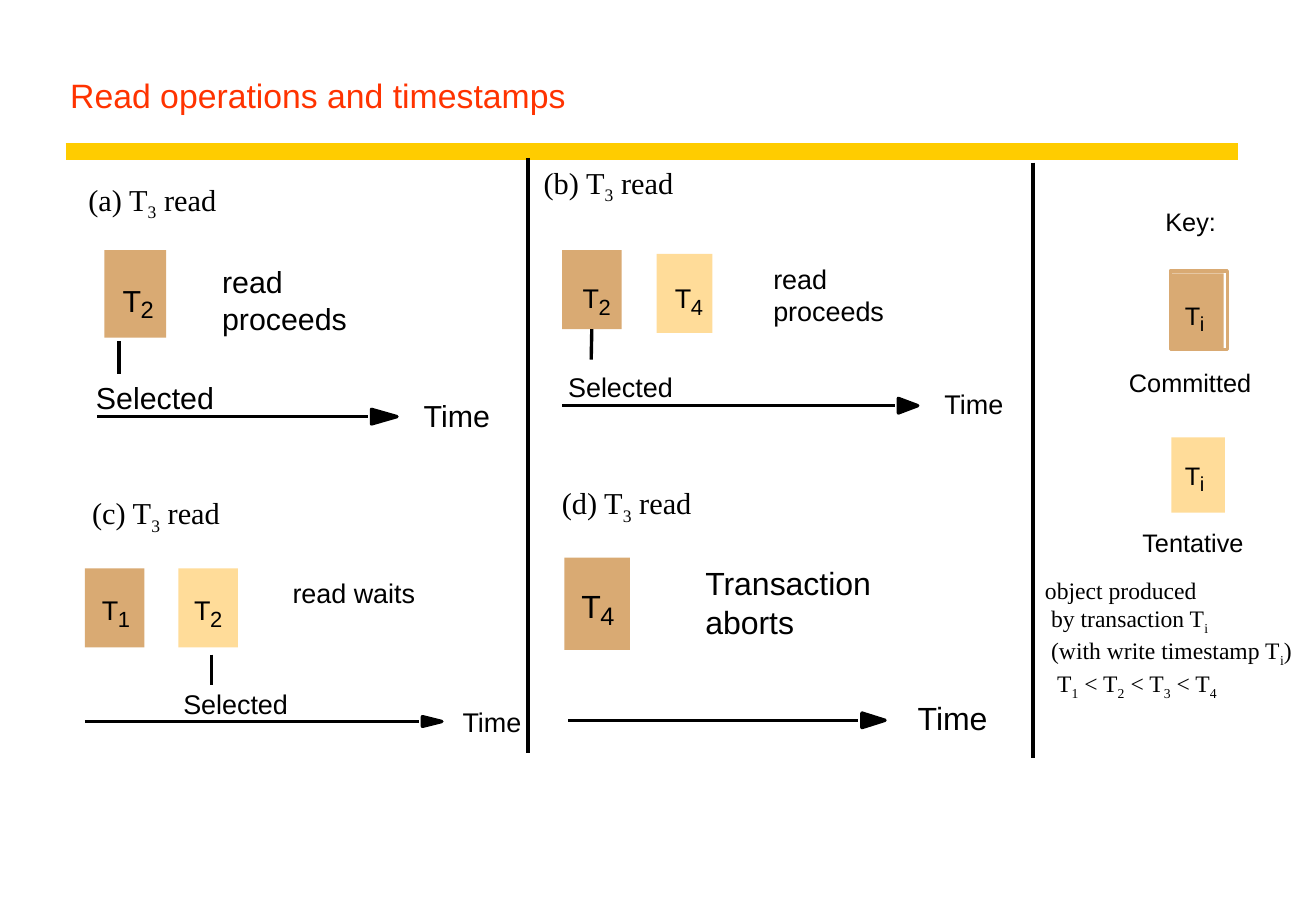
from dataclasses import dataclass

from lxml.etree import SubElement
from pptx import Presentation
from pptx.dml.color import RGBColor
from pptx.enum.shapes import MSO_CONNECTOR, MSO_SHAPE
from pptx.enum.text import MSO_ANCHOR
from pptx.oxml.ns import qn
from pptx.util import Inches, Pt


@dataclass(frozen=True)
class Theme:
    ink: RGBColor = RGBColor.from_string("000000")
    title: RGBColor = RGBColor.from_string("FF3300")
    rule: RGBColor = RGBColor.from_string("FFCC00")
    committed: RGBColor = RGBColor.from_string("D9AA73")
    tentative: RGBColor = RGBColor.from_string("FFDC99")
    sans: str = "Arial"
    serif: str = "Times New Roman"
    title_size: int = 20
    heading_size: int = 18
    note_size: int = 14
    key_size: int = 15
    panel_a_size: int = 18
    panel_bc_size: int = 16
    panel_d_size: int = 19
    stroke: int = 2
    rule_stroke: int = 10


THEME = Theme()


def add_subscripted(paragraph, text):
    """Write text; the character after each underscore is a subscript."""
    first, *rest = text.split("_")
    paragraph.add_run().text = first
    for part in rest:
        subscript = paragraph.add_run()
        subscript.text = part[0]
        subscript._r.get_or_add_rPr().set("baseline", "-25000")
        if part[1:]:
            paragraph.add_run().text = part[1:]


def add_text(slide, left, top, width, height, lines, size, font=THEME.sans,
             color=THEME.ink, inset=(0, 0)):
    frame = slide.shapes.add_textbox(
        Inches(left), Inches(top), Inches(width), Inches(height)).text_frame
    frame.word_wrap = True
    frame.margin_left = frame.margin_right = Inches(inset[0])
    frame.margin_top = frame.margin_bottom = Inches(inset[1])
    for index, line in enumerate(lines):
        paragraph = frame.add_paragraph() if index else frame.paragraphs[0]
        add_subscripted(paragraph, line)
        paragraph.font.size = Pt(size)
        paragraph.font.name = font
        paragraph.font.color.rgb = color
    return frame


def add_label(slide, left, top, width, size, *lines):
    frame = add_text(slide, left, top, width, len(lines) * size / 60, lines, size)
    if len(lines) > 1:
        for paragraph in frame.paragraphs:
            paragraph.line_spacing = Pt(size * 1.2)


def add_heading(slide, left, top, text):
    add_text(slide, left, top, 1.32, 0.44, [text], THEME.heading_size,
             THEME.serif, inset=(0.1, 0.05))


def add_line(slide, start, end, color=THEME.ink, stroke=THEME.stroke):
    line = slide.shapes.add_connector(
        MSO_CONNECTOR.STRAIGHT, *(Inches(value) for value in (*start, *end)))
    line.line.color.rgb = color
    line.line.width = Pt(stroke)
    SubElement(line._element.spPr, qn("a:effectLst"))
    return line


def add_box(slide, left, top, width, height, fill=None, border=None):
    box = slide.shapes.add_shape(
        MSO_SHAPE.RECTANGLE, Inches(left), Inches(top), Inches(width), Inches(height))
    box.shadow.inherit = False
    if fill is None:
        box.fill.background()
    else:
        box.fill.solid()
        box.fill.fore_color.rgb = fill
    if border is None:
        box.line.fill.background()
    else:
        box.line.color.rgb = border
        box.line.width = Pt(THEME.stroke)
    return box


def add_version(slide, area, fill, letter_at, index, size):
    """Draw one object version: a coloured box named T with a large index."""
    box = add_box(slide, *area, fill)
    left, top = letter_at
    add_label(slide, left, top, 0.2, size, "T")
    add_label(slide, left + size * 0.0082, top + size * 0.006, 0.15,
              round(size * 0.8), index)
    return box


def add_time_axis(slide, start, head, y, head_length, half_height):
    add_line(slide, (start, y), (head - 0.03, y))
    builder = slide.shapes.build_freeform(Inches(head), Inches(y - half_height))
    builder.add_line_segments([(Inches(head + head_length), Inches(y)),
                               (Inches(head), Inches(y + half_height))])
    arrowhead = builder.convert_to_shape()
    arrowhead.shadow.inherit = False
    arrowhead.fill.solid()
    arrowhead.fill.fore_color.rgb = THEME.ink
    arrowhead.line.color.rgb = THEME.ink
    arrowhead.line.width = Pt(THEME.stroke)


def add_title(slide):
    add_line(slide, (0.54, 1.25), (10.2, 1.25), THEME.rule, THEME.rule_stroke)
    title = add_text(slide, 0.48, 0.25, 9.72, 0.75, ["Read operations and timestamps"],
                     THEME.title_size, color=THEME.title, inset=(0.1, 0.05))
    title.vertical_anchor = MSO_ANCHOR.BOTTOM


def add_panel_a(slide):
    size = THEME.panel_a_size
    add_heading(slide, 0.63, 1.44, "(a) T_3 read")
    add_version(slide, (0.86, 2.06, 0.51, 0.72), THEME.committed, (1.01, 2.32), "2", size)
    add_label(slide, 1.83, 2.17, 1.1, size, "read", "proceeds")
    add_line(slide, (0.98, 2.81), (0.98, 3.08))
    add_label(slide, 0.79, 3.12, 1.05, size, "Selected")
    add_time_axis(slide, 0.8, 3.06, 3.43, 0.21, 0.06)
    add_label(slide, 3.49, 3.27, 0.62, size, "Time")


def add_panel_b(slide):
    size = THEME.panel_bc_size
    add_heading(slide, 4.38, 1.3, "(b) T_3 read")
    selected = add_version(slide, (4.63, 2.06, 0.49, 0.65), THEME.committed,
                           (4.8, 2.32), "2", size)
    add_version(slide, (5.41, 2.09, 0.46, 0.65), THEME.tentative, (5.56, 2.32), "4", size)
    add_label(slide, 6.37, 2.16, 1, size, "read", "proceeds")
    add_line(slide, (4.87, 2.71), (4.87, 2.96)).begin_connect(selected, 2)
    add_label(slide, 4.68, 3.05, 0.95, size, "Selected")
    add_time_axis(slide, 4.63, 7.4, 3.34, 0.16, 0.06)
    add_label(slide, 7.78, 3.19, 0.55, size, "Time")


def add_panel_c(slide):
    size = THEME.panel_bc_size
    add_heading(slide, 0.66, 4.02, "(c) T_3 read")
    add_version(slide, (0.7, 4.68, 0.49, 0.65), THEME.committed, (0.84, 4.89), "1", size)
    add_version(slide, (1.47, 4.68, 0.49, 0.65), THEME.tentative, (1.6, 4.89), "2", size)
    add_label(slide, 2.41, 4.75, 1.1, size, "read waits")
    add_line(slide, (1.74, 5.39), (1.74, 5.64))
    add_label(slide, 1.51, 5.66, 0.95, size, "Selected")
    add_time_axis(slide, 0.7, 3.48, 5.94, 0.16, 0.04)
    add_label(slide, 3.81, 5.81, 0.55, size, "Time")


def add_panel_d(slide):
    size = THEME.panel_d_size
    add_heading(slide, 4.53, 3.94, "(d) T_3 read")
    add_version(slide, (4.65, 4.59, 0.54, 0.76), THEME.committed, (4.79, 4.83), "4", size)
    add_label(slide, 5.81, 4.64, 1.46, size, "Transaction", "aborts")
    add_time_axis(slide, 4.68, 7.1, 5.93, 0.19, 0.06)
    add_label(slide, 7.56, 5.75, 0.66, size, "Time")


def add_key(slide):
    size = THEME.key_size
    add_label(slide, 9.6, 1.7, 0.5, size, "Key:")
    add_version(slide, (9.64, 2.25, 0.44, 0.62), THEME.committed, (9.76, 2.47), "i", size)
    add_box(slide, 9.64, 2.23, 0.47, 0.65, border=THEME.committed)
    add_label(slide, 9.3, 3.02, 1.1, size, "Committed")
    add_version(slide, (9.65, 3.6, 0.44, 0.62), THEME.tentative, (9.76, 3.79), "i", size)
    add_label(slide, 9.41, 4.34, 0.95, size, "Tentative")
    note = add_text(slide, 8.51, 4.69, 2.3, 1.13,
                    ["object produced", "by transaction T_i",
                     "(with write timestamp T_i)", "T_1 < T_2 < T_3 < T_4"],
                    THEME.note_size, THEME.serif, inset=(0.1, 0.05))
    for paragraph, indent in zip(note.paragraphs, (0, 0.05, 0.05, 0.1)):
        paragraph._p.get_or_add_pPr().set("marL", str(Inches(indent)))


def main():
    deck = Presentation()
    deck.slide_width, deck.slide_height = Inches(10.84), Inches(7.5)
    slide = deck.slides.add_slide(deck.slide_layouts[6])
    add_title(slide)
    for add_part in (add_panel_a, add_panel_b, add_panel_c, add_panel_d, add_key):
        add_part(slide)
    for x, top in ((4.35, 1.3), (8.51, 1.34)):
        add_line(slide, (x, top), (x, top + 4.9))
    deck.save("out.pptx")


if __name__ == "__main__":
    main()
